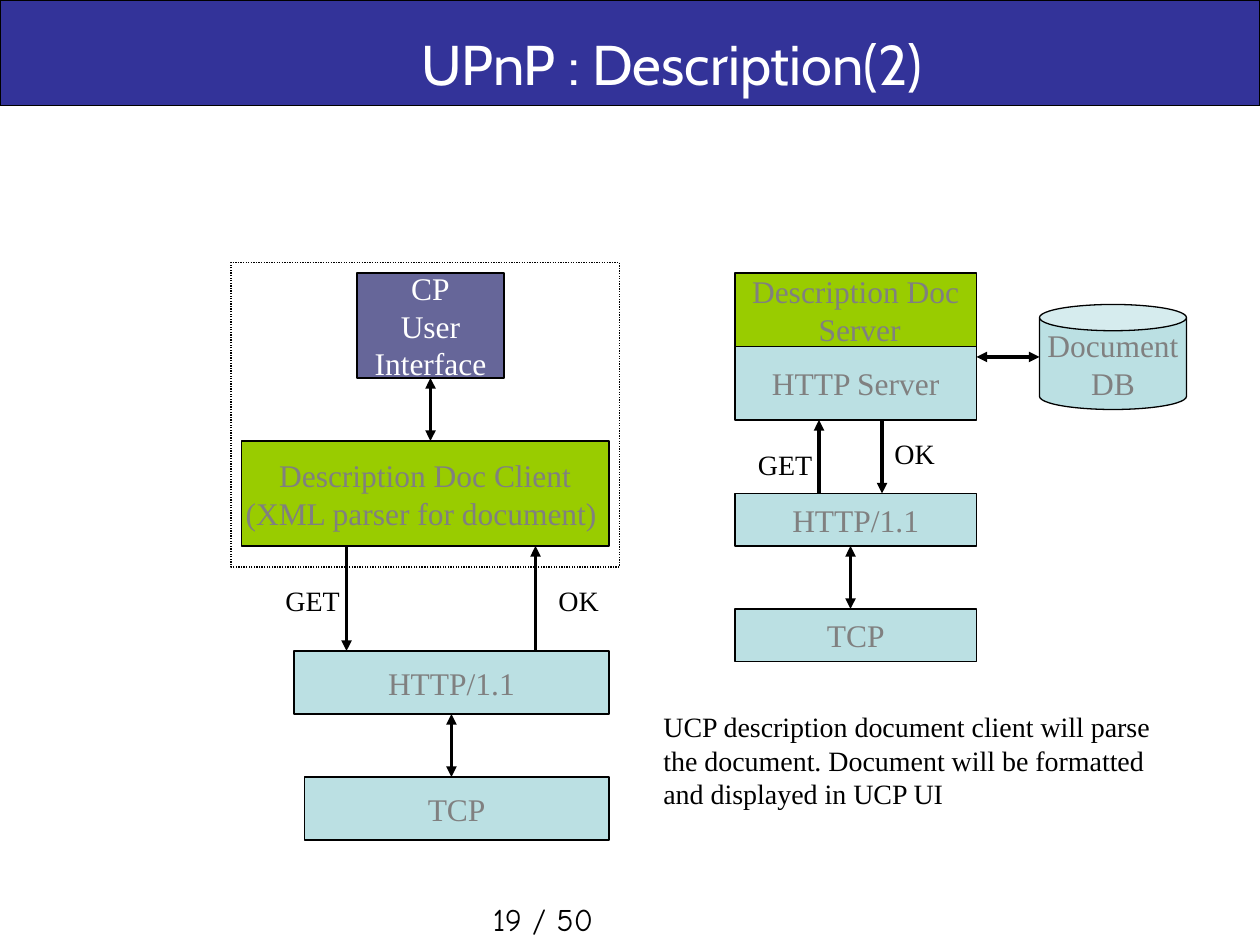
from dataclasses import dataclass

from lxml import etree
from pptx import Presentation
from pptx.dml.color import RGBColor
from pptx.enum.dml import MSO_LINE
from pptx.enum.shapes import MSO_CONNECTOR, MSO_SHAPE
from pptx.enum.text import MSO_ANCHOR, PP_ALIGN
from pptx.oxml.ns import qn
from pptx.util import Pt

RECTANGLE = MSO_SHAPE.RECTANGLE
CAN = MSO_SHAPE.CAN
STRAIGHT = MSO_CONNECTOR.STRAIGHT
DOTTED = MSO_LINE.ROUND_DOT
LEFT = PP_ALIGN.LEFT
CENTER = PP_ALIGN.CENTER
TOP = MSO_ANCHOR.TOP
MIDDLE = MSO_ANCHOR.MIDDLE

SERIF = "Times New Roman"
BLACK = "000000"
WHITE = "FFFFFF"
GRAY = "808080"
NAVY = "333399"
PURPLE = "666699"
GREEN = "99CC00"
AQUA = "BBE0E3"


@dataclass(frozen=True)
class Block:
    text: str
    left: float
    top: float
    width: float
    height: float
    fill: str | None = AQUA
    color: str = GRAY
    kind: MSO_SHAPE = RECTANGLE
    dotted: bool = False


@dataclass(frozen=True)
class Arrow:
    start: tuple[float, float]
    end: tuple[float, float]
    double: bool = False


@dataclass(frozen=True)
class Label:
    text: str
    left: float
    top: float
    width: float = 84
    height: float = 26.5


BANNER = Block("", 0, 0, 720, 60.5, NAVY)
BLOCKS = [
    Block("", 132, 150, 222, 174, None, dotted=True),
    Block("CP\nUser\nInterface", 204, 156, 84, 60, PURPLE, WHITE),
    Block("Description Doc Client\n(XML parser for document) ", 138, 252, 210, 60, GREEN),
    Block("HTTP/1.1", 168, 372, 180, 36),
    Block("TCP", 174, 444, 174, 36),
    Block("Description Doc\n Server", 420, 156, 138, 42, GREEN),
    Block("HTTP Server", 420, 198, 138, 42),
    Block("HTTP/1.1", 420, 282, 138, 30),
    Block("TCP", 420, 348, 138, 30),
    Block("Document\nDB", 594, 174, 84, 60, kind=CAN),
]
ARROWS = [
    Arrow((246, 216), (246, 252), double=True),
    Arrow((198, 312), (198, 372)),
    Arrow((306, 372), (306, 312)),
    Arrow((258, 408), (258, 444), double=True),
    Arrow((468, 282), (468, 240)),
    Arrow((504, 240), (504, 282)),
    Arrow((486, 312), (486, 348), double=True),
    Arrow((558, 204), (594, 204), double=True),
]
LABELS = [
    Label("GET", 156, 330),
    Label("OK", 312, 330),
    Label("GET", 426, 252),
    Label("OK", 504, 246),
    Label(
        "UCP description document client will parse the document. "
        "Document will be formatted and displayed in UCP UI",
        372, 402, 300, 65,
    ),
]


def rgb(value: str) -> RGBColor:
    return RGBColor.from_string(value)


def write_text(frame, text: str, *, size: float = 16, font: str = SERIF,
               color: str = BLACK, align: PP_ALIGN = LEFT,
               anchor: MSO_ANCHOR = TOP, wrap: bool = True) -> None:
    frame.word_wrap = wrap
    frame.vertical_anchor = anchor
    for index, line in enumerate(text.split("\n")):
        para = frame.paragraphs[0] if index == 0 else frame.add_paragraph()
        para.alignment = align
        span = para.add_run()
        span.text = line
        span.font.size = Pt(size)
        span.font.name = font
        span.font.color.rgb = rgb(color)


def draw_block(page, block: Block) -> None:
    shape = page.shapes.add_shape(
        block.kind, Pt(block.left), Pt(block.top), Pt(block.width), Pt(block.height)
    )
    shape.shadow.inherit = False
    if block.fill:
        shape.fill.solid()
        shape.fill.fore_color.rgb = rgb(block.fill)
    else:
        shape.fill.background()
    shape.line.color.rgb = rgb(BLACK)
    shape.line.width = Pt(0.75)
    if block.dotted:
        shape.line.dash_style = DOTTED
    if block.text:
        write_text(shape.text_frame, block.text, size=18, color=block.color,
                   align=CENTER, anchor=MIDDLE, wrap=False)


def draw_arrow(page, arrow: Arrow) -> None:
    points = [Pt(value) for value in (*arrow.start, *arrow.end)]
    connector = page.shapes.add_connector(STRAIGHT, *points)
    connector.line.color.rgb = rgb(BLACK)
    connector.line.width = Pt(2)
    properties = connector.element.spPr
    outline = properties.find(qn("a:ln"))
    for tag in ("a:headEnd", "a:tailEnd") if arrow.double else ("a:tailEnd",):
        etree.SubElement(outline, qn(tag), type="triangle")
    etree.SubElement(properties, qn("a:effectLst"))


def draw_label(page, label: Label, **text_format) -> None:
    box = page.shapes.add_textbox(
        Pt(label.left), Pt(label.top), Pt(label.width), Pt(label.height)
    )
    write_text(box.text_frame, label.text, **text_format)


def main() -> None:
    deck = Presentation()
    deck.slide_width, deck.slide_height = Pt(720), Pt(540)
    page = deck.slides.add_slide(deck.slide_layouts[6])

    draw_block(page, BANNER)
    draw_label(page, Label("19 / 50", 274.5, 510.5, 168, 26), size=18, font="Comic Neue")
    draw_label(page, Label("UPnP : Description(2)", 84, 12, 600, 48), size=32,
               font="Cabin", color=WHITE, align=CENTER, anchor=MIDDLE)
    for block in BLOCKS:
        draw_block(page, block)
    for arrow in ARROWS:
        draw_arrow(page, arrow)
    for label in LABELS:
        draw_label(page, label)

    deck.save("out.pptx")


if __name__ == "__main__":
    main()
